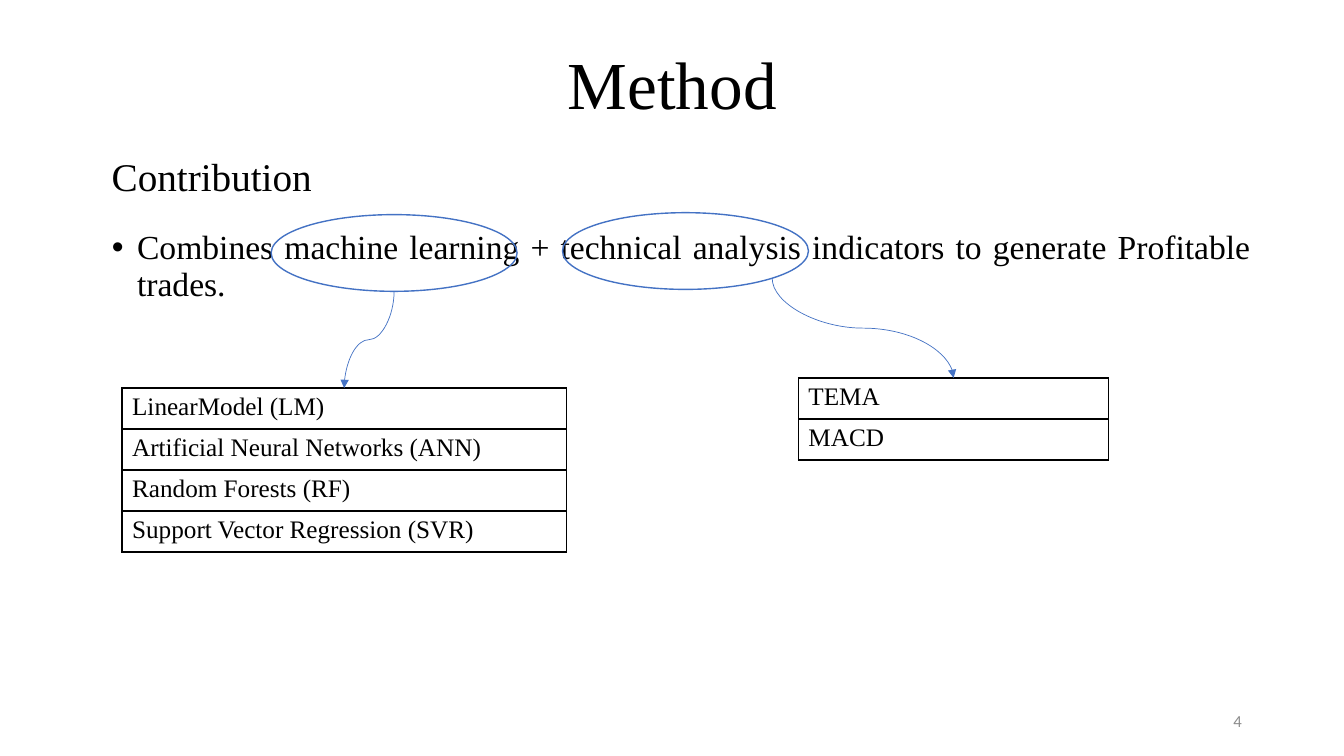
from dataclasses import dataclass

from lxml.etree import SubElement
from pptx import Presentation
from pptx.dml.color import RGBColor
from pptx.enum.shapes import MSO_CONNECTOR, MSO_SHAPE
from pptx.enum.text import MSO_ANCHOR, MSO_AUTO_SIZE, PP_ALIGN
from pptx.oxml.ns import qn
from pptx.shapes.base import BaseShape
from pptx.slide import Slide
from pptx.table import _Cell
from pptx.text.text import TextFrame, _Paragraph
from pptx.util import Pt


@dataclass(frozen=True)
class Theme:
    text_color: RGBColor = RGBColor(0, 0, 0)
    accent_color: RGBColor = RGBColor(0x44, 0x72, 0xC4)
    number_color: RGBColor = RGBColor(0x8C, 0x8C, 0x8C)
    text_font: str = "Times New Roman"
    number_font: str = "Calibri"
    title_size: float = 48
    heading_size: float = 28
    body_size: float = 24
    table_size: float = 18
    number_size: float = 12


@dataclass(frozen=True)
class Box:
    left: float
    top: float
    width: float
    height: float


@dataclass(frozen=True)
class MethodTable:
    left: float
    top: float
    width: float
    entries: tuple[str, ...]


@dataclass(frozen=True)
class CurvedArrow:
    start_x: float
    start_y: float
    end_x: float
    end_y: float


THEME = Theme()
ROW_HEIGHT = 29.3
TABLES = (
    MethodTable(87.2, 277.2, 317.5, (
        "LinearModel (LM)",
        "Artificial Neural Networks (ANN)",
        "Random Forests (RF)",
        "Support Vector Regression (SVR)",
    )),
    MethodTable(570.3, 270, 221.7, ("TEMA", "MACD")),
)
HIGHLIGHTS = (Box(193.7, 153.3, 175.7, 54.8), Box(401.8, 151.9, 175.7, 54.8))
ARROWS = (
    CurvedArrow(281.5, 208, 245.8, 277.2),
    CurvedArrow(551.6, 198.8, 681.2, 270),
)


def place(shape: BaseShape, box: Box) -> None:
    shape.left, shape.top = Pt(box.left), Pt(box.top)
    shape.width, shape.height = Pt(box.width), Pt(box.height)


def write(frame: TextFrame, text: str, size: float, font: str = THEME.text_font,
          color: RGBColor = THEME.text_color) -> _Paragraph:
    frame.word_wrap = True
    frame.text = text
    paragraph = frame.paragraphs[0]
    paragraph.font.size = Pt(size)
    paragraph.font.name = font
    paragraph.font.color.rgb = color
    return paragraph


def add_title(slide: Slide) -> None:
    title = slide.shapes.title
    place(title, Box(66.2, 10.8, 828, 104.4))
    title.text_frame.auto_size = MSO_AUTO_SIZE.NONE
    title.text_frame.vertical_anchor = MSO_ANCHOR.MIDDLE
    paragraph = write(title.text_frame, "Method", THEME.title_size)
    paragraph.alignment = PP_ALIGN.CENTER
    paragraph.line_spacing = 0.9


def add_contribution_list(slide: Slide) -> None:
    body = slide.placeholders[1]
    place(body, Box(72.7, 161.3, 828, 342.7))
    frame = body.text_frame
    frame.auto_size = MSO_AUTO_SIZE.NONE
    frame.text = ("Combines machine learning + technical analysis indicators "
                  "to generate Profitable trades.")
    paragraph = frame.paragraphs[0]
    paragraph.alignment = PP_ALIGN.JUSTIFY
    paragraph.line_spacing = 0.9
    paragraph.space_before = Pt(0)
    properties = paragraph._p.get_or_add_pPr()
    properties.set("marL", str(Pt(18)))
    properties.set("indent", str(Pt(-18)))
    SubElement(properties, qn("a:buFont"), typeface="Arial")
    SubElement(properties, qn("a:buChar"), char="•")
    paragraph.font.size = Pt(THEME.body_size)
    paragraph.font.name = THEME.text_font
    paragraph.font.color.rgb = THEME.text_color


def add_slide_number(slide: Slide) -> None:
    box = slide.shapes.add_textbox(Pt(678.2), Pt(500.4), Pt(216), Pt(28.8))
    box.text_frame.vertical_anchor = MSO_ANCHOR.MIDDLE
    paragraph = write(box.text_frame, "4", THEME.number_size,
                      THEME.number_font, THEME.number_color)
    paragraph.alignment = PP_ALIGN.RIGHT


def add_heading(slide: Slide) -> None:
    box = slide.shapes.add_textbox(Pt(72.7), Pt(105.1), Pt(497.5), Pt(41))
    write(box.text_frame, "Contribution", THEME.heading_size)


def outline_cell(cell: _Cell) -> None:
    properties = cell._tc.get_or_add_tcPr()
    for side in ("lnL", "lnR", "lnT", "lnB"):
        border = SubElement(properties, qn(f"a:{side}"), w=str(Pt(1)))
        fill = SubElement(border, qn("a:solidFill"))
        SubElement(fill, qn("a:srgbClr"), val=str(THEME.text_color))


def add_method_table(slide: Slide, spec_table: MethodTable) -> None:
    row_count = len(spec_table.entries)
    table = slide.shapes.add_table(
        row_count, 1, Pt(spec_table.left), Pt(spec_table.top),
        Pt(spec_table.width), Pt(ROW_HEIGHT * row_count)).table
    table.first_row = False
    table.horz_banding = False
    for row, entry in zip(table.rows, spec_table.entries):
        row.height = Pt(ROW_HEIGHT)
        cell = row.cells[0]
        outline_cell(cell)
        cell.fill.background()
        write(cell.text_frame, entry, THEME.table_size)


def add_highlight(slide: Slide, box: Box) -> None:
    ellipse = slide.shapes.add_shape(
        MSO_SHAPE.OVAL, Pt(box.left), Pt(box.top), Pt(box.width), Pt(box.height))
    ellipse.shadow.inherit = False
    ellipse.fill.background()
    ellipse.line.color.rgb = THEME.accent_color
    ellipse.line.width = Pt(1)


def add_curved_arrow(slide: Slide, arrow: CurvedArrow) -> None:
    """Draw an S-curve that leaves and arrives vertically, by a quarter turn."""
    center_x = (arrow.start_x + arrow.end_x) / 2
    center_y = (arrow.start_y + arrow.end_y) / 2
    half_height = abs(arrow.end_x - arrow.start_x) / 2
    goes_right = arrow.end_x > arrow.start_x
    half_run = (arrow.end_y - arrow.start_y) / 2 * (-1 if goes_right else 1)
    connector = slide.shapes.add_connector(
        MSO_CONNECTOR.CURVE,
        Pt(center_x - half_run), Pt(center_y - half_height),
        Pt(center_x + half_run), Pt(center_y + half_height))
    connector.line.color.rgb = THEME.accent_color
    connector.line.width = Pt(0.5)
    properties = connector.element.spPr
    quarter_turns = 3 if goes_right else 1
    properties.find(qn("a:xfrm")).set("rot", str(quarter_turns * 90 * 60000))
    SubElement(properties.find(qn("a:ln")), qn("a:tailEnd"), type="triangle")
    SubElement(properties, qn("a:effectLst"))


def main() -> None:
    presentation = Presentation()
    presentation.slide_width, presentation.slide_height = Pt(960), Pt(540)
    slide = presentation.slides.add_slide(presentation.slide_layouts[1])
    add_title(slide)
    add_contribution_list(slide)
    add_slide_number(slide)
    for method_table in TABLES:
        add_method_table(slide, method_table)
    for highlight in HIGHLIGHTS:
        add_highlight(slide, highlight)
    for arrow in ARROWS:
        add_curved_arrow(slide, arrow)
    add_heading(slide)
    presentation.save("out.pptx")


if __name__ == "__main__":
    main()
